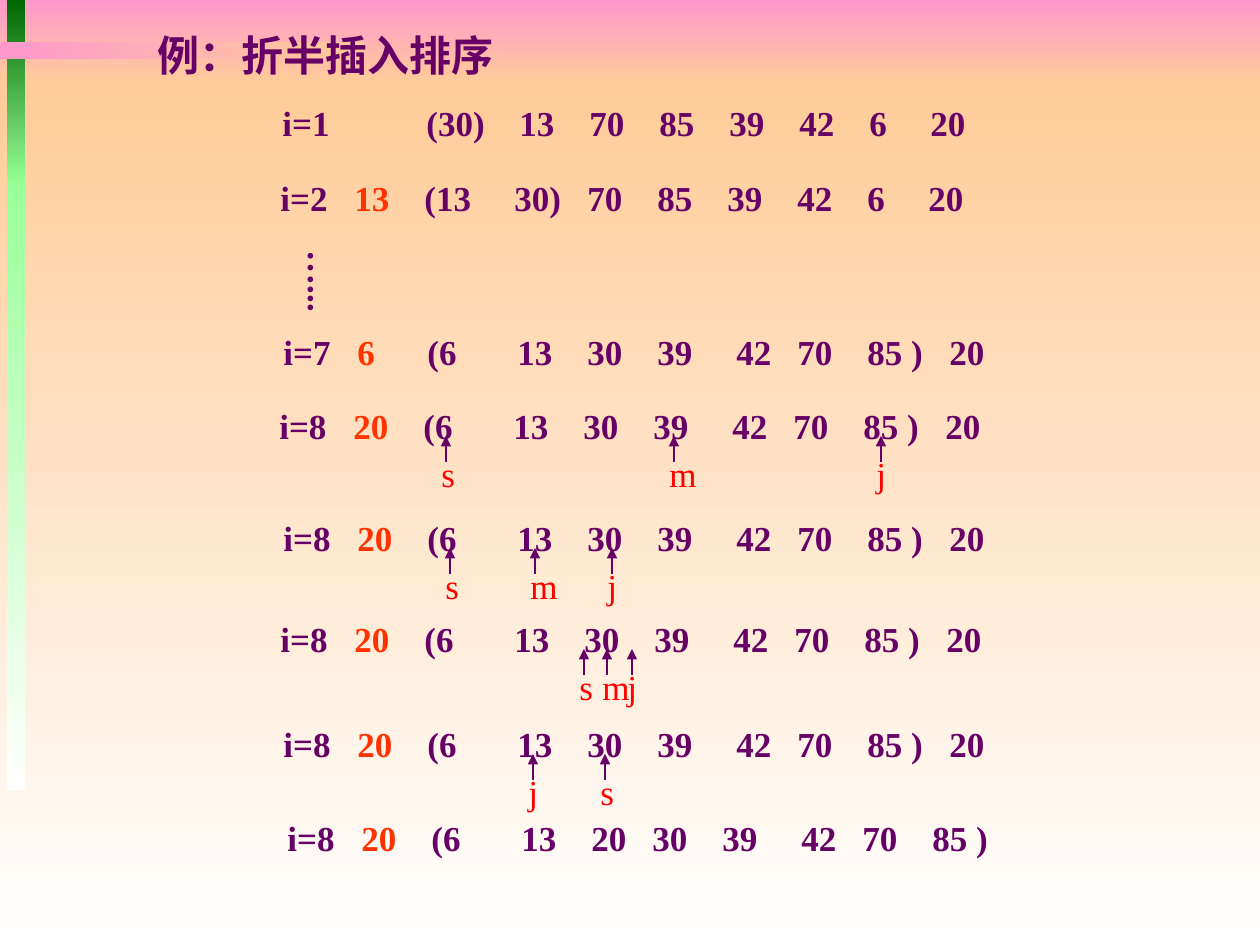
from lxml.etree import SubElement
from pptx import Presentation
from pptx.dml.color import RGBColor
from pptx.enum.shapes import MSO_CONNECTOR, MSO_SHAPE
from pptx.oxml.ns import qn
from pptx.util import Pt

PURPLE = RGBColor(0x66, 0x00, 0x66)
ORANGE = RGBColor(0xFF, 0x33, 0x00)
RED = RGBColor(0xFF, 0x00, 0x00)
PINK = RGBColor(0xFF, 0x99, 0xCC)
PEACH = RGBColor(0xFF, 0xCC, 0x99)
WHITE = RGBColor(0xFF, 0xFF, 0xFF)
DARK_GREEN = RGBColor(0x00, 0x66, 0x00)
LIGHT_GREEN = RGBColor(0x99, 0xFF, 0x99)


def px(*lengths):
    return [round(length * 914400 / 126) for length in lengths]


def add_text(box, runs, size=20, bold=True, wrap=True, tabs=()):
    frame = slide.shapes.add_textbox(*px(*box)).text_frame
    frame.word_wrap = wrap
    paragraph = frame.paragraphs[0]
    if tabs:
        stops = SubElement(paragraph._p.get_or_add_pPr(), qn("a:tabLst"))
        for position in px(*tabs):
            SubElement(stops, qn("a:tab"), pos=str(position), algn="l")
    paragraph.font.name = "Times New Roman"
    paragraph.font.size = Pt(size)
    paragraph.font.bold = bold
    for text, color in runs:
        run = paragraph.add_run()
        run.text = text
        run.font.color.rgb = color
    return frame


deck = Presentation()
deck.slide_width, deck.slide_height = px(1260, 945)
slide = deck.slides.add_slide(deck.slide_layouts[6])

bands = [
    ((0, 0, 1260, 84), PINK, PEACH, 270),
    ((0, 84, 1260, 861), PEACH, WHITE, 270),
    ((7, 0, 18, 186), DARK_GREEN, LIGHT_GREEN, 270),
    ((7, 184, 18, 606), LIGHT_GREEN, WHITE, 270),
    ((0, 42, 364, 17), PINK, PEACH, 0),
]
for box, start, end, angle in bands:
    band = slide.shapes.add_shape(MSO_SHAPE.RECTANGLE, *px(*box))
    band.shadow.inherit = False
    band.line.fill.background()
    band.fill.gradient()
    band.fill.gradient_angle = angle
    for stop, color in zip(band.fill.gradient_stops, (start, end)):
        stop.color.rgb = color

add_text((145, 23, 450, 63), [("例：折半插入排序", PURPLE)], size=24)
ellipsis = add_text((282, 238, 67, 74), [("…...", PURPLE)], wrap=False)
ellipsis._txBody.bodyPr.set("vert", "eaVert")
ellipsis.margin_left, ellipsis.margin_right = px(6, 6)
ellipsis.margin_top, ellipsis.margin_bottom = px(13, 13)

FIRST_TABS = (74, 144, 237, 307, 377, 447, 517, 587, 648)
SECOND_TABS = (74, 144, 234, 307, 377, 447, 517, 587, 648)
SEARCH_TABS = (74, 144, 234, 304, 374, 453, 514, 584, 666)
RESULT_TABS = (74, 144, 234, 304, 365, 435, 514, 575, 645)
SEARCH_LIST = "(6|13|30|39|42|70|85 )|20"
passes = [
    (270, 95, "i=1", "", "(30)|13|70|85|39|42|6|20", FIRST_TABS, {}),
    (268, 170, "i=2", "13", "(13|30)|70|85|39|42|6|20", SECOND_TABS, {}),
    (271, 324, "i=7", "6", SEARCH_LIST, SEARCH_TABS, {}),
    (267, 398, "i=8", "20", SEARCH_LIST, SEARCH_TABS, {"s": 446, "j": 881, "m": 674}),
    (271, 510, "i=8", "20", SEARCH_LIST, SEARCH_TABS, {"s": 450, "j": 612, "m": 535}),
    (268, 611, "i=8", "20", SEARCH_LIST, SEARCH_TABS, {"s": 584, "j": 632, "m": 607}),
    (271, 716, "i=8", "20", SEARCH_LIST, SEARCH_TABS, {"s": 605, "j": 533}),
    (275, 810, "i=8", "20", "(6|13|20|30|39|42|70|85 )", RESULT_TABS, {}),
]
POINTER_WIDTHS = {"s": 39, "j": 34, "m": 52}

for left, top, step, key, values, tabs, pointers in passes:
    runs = [(step + "\t", PURPLE)]
    if key:
        runs.append((key, ORANGE))
    runs.append(("\t" + values.replace("|", "\t"), PURPLE))
    add_text((left, top, 730, 55), runs, tabs=tabs)

    tip = top + 38
    for pointer, x in pointers.items():
        arrow = slide.shapes.add_connector(
            MSO_CONNECTOR.STRAIGHT, *px(x, tip + 26, x, tip)
        )
        arrow.line.color.rgb = PURPLE
        arrow.line.width = Pt(0.75)
        SubElement(arrow.line._get_or_add_ln(), qn("a:tailEnd"), type="triangle")
        SubElement(arrow._element.spPr, qn("a:effectLst"))
        add_text(
            (x - 17, tip + 10, POINTER_WIDTHS[pointer], 55),
            [(pointer, RED)],
            bold=False,
            wrap=False,
        )

deck.save("out.pptx")
